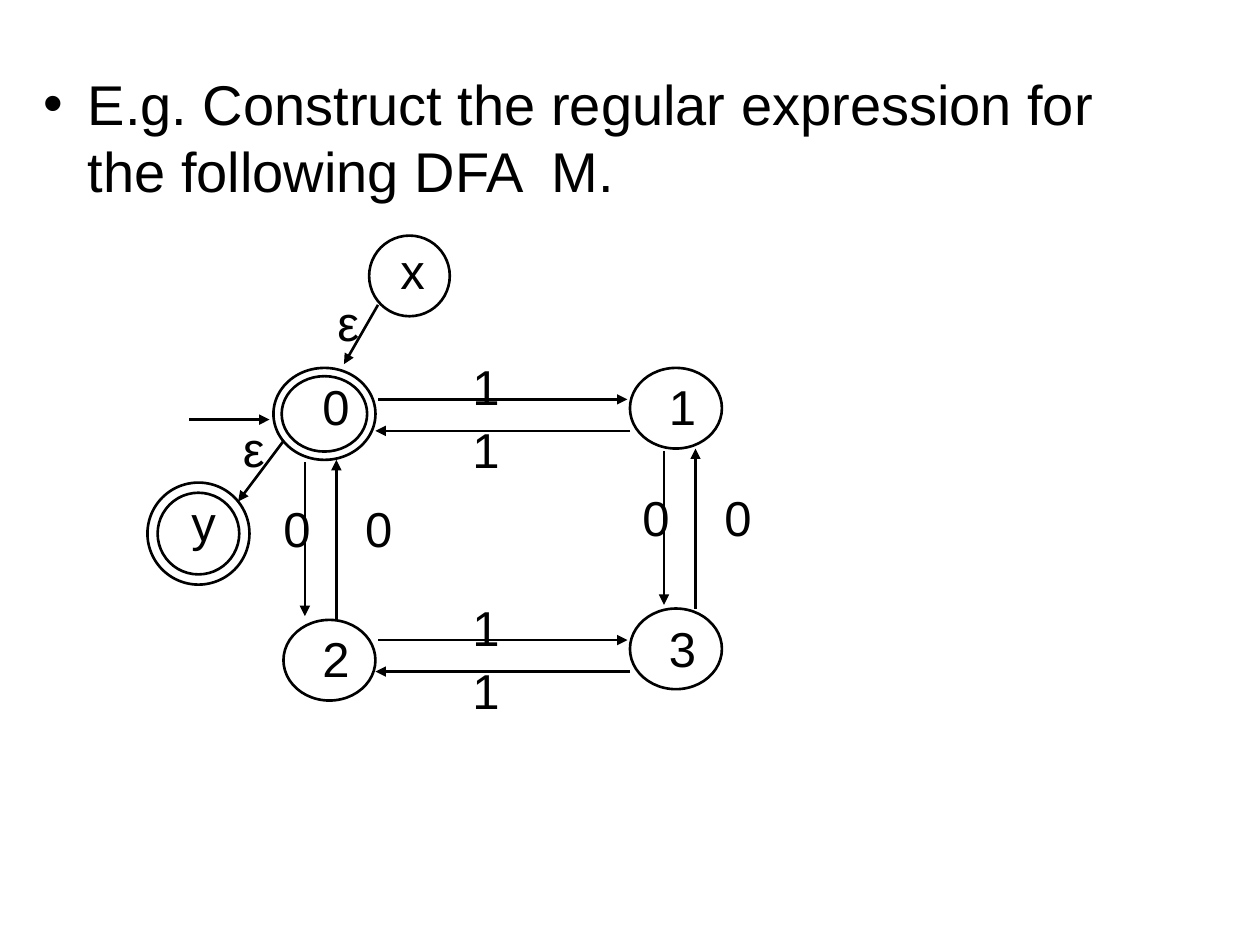
from lxml import etree
from pptx import Presentation
from pptx.dml.color import RGBColor
from pptx.enum.shapes import MSO_CONNECTOR, MSO_SHAPE
from pptx.enum.text import MSO_AUTO_SIZE
from pptx.oxml.ns import qn
from pptx.util import Inches, Pt

STRAIGHT = MSO_CONNECTOR.STRAIGHT
OVAL, DONUT = MSO_SHAPE.OVAL, MSO_SHAPE.DONUT
FIT_SHAPE, FIT_NONE = MSO_AUTO_SIZE.SHAPE_TO_FIT_TEXT, MSO_AUTO_SIZE.NONE

THEME = {"font": "Arial", "ink": RGBColor(0, 0, 0), "body": 32, "label": 28, "line": 1.5}
TASK = "E.g. Construct the regular expression for the following DFA  M."

# name, circle box, label position, ring thickness as a share of the height
STATES = [
    ("0", (2.17, 2.92, 0.81, 0.73), (2.46, 2.94), 0.09),
    ("1", (5, 2.92, 0.73, 0.64), (5.21, 2.94), None),
    ("2", (2.25, 4.92, 0.73, 0.64), (2.46, 4.94), None),
    ("3", (5, 4.83, 0.73, 0.64), (5.21, 4.86), None),
    ("x", (2.93, 1.87, 0.64, 0.64), (3.08, 1.86), None),
    ("y", (1.17, 3.83, 0.81, 0.81), (1.42, 3.86), 0.1),
]
START_ARROW = (1.5, 3.33, 2.14, 3.33)
EPSILON_MOVES = [
    ((3, 2.42, 2.73, 2.89), (2.58, 2.27)),
    ((2.25, 3.5, 1.89, 3.98), (1.83, 3.27)),
]
ROW_PAIRS = [3.17, 5.08]
COLUMN_PAIRS = [(2.42, 3.67), (5.27, 3.58)]
PAIR_GAP = 0.25


def add_text(slide, text, left, top, width=0.41, height=0.57, size=THEME["label"],
             wrap=False, bullet=False):
    box = slide.shapes.add_textbox(Inches(left), Inches(top), Inches(width), Inches(height))
    frame = box.text_frame
    frame.word_wrap = wrap
    frame.auto_size = FIT_NONE if wrap else FIT_SHAPE
    paragraph = frame.paragraphs[0]
    if bullet:
        properties = paragraph._p.get_or_add_pPr()
        properties.set("marL", str(Inches(0.35)))
        properties.set("indent", str(-Inches(0.35)))
        etree.SubElement(properties, qn("a:buFont")).set("typeface", THEME["font"])
        etree.SubElement(properties, qn("a:buChar")).set("char", "•")
    run = paragraph.add_run()
    run.text = text
    run.font.name = THEME["font"]
    run.font.size = Pt(size)
    run.font.color.rgb = THEME["ink"]


def style_line(line):
    line.color.rgb = THEME["ink"]
    line.width = Pt(THEME["line"])


def add_arrow(slide, *ends):
    connector = slide.shapes.add_connector(STRAIGHT, *map(Inches, ends))
    style_line(connector.line)
    etree.SubElement(connector.line._get_or_add_ln(), qn("a:tailEnd")).set("type", "triangle")
    etree.SubElement(connector._element.spPr, qn("a:effectLst"))


def add_state(slide, name, box, label, ring):
    shape = slide.shapes.add_shape(DONUT if ring else OVAL, *map(Inches, box))
    if ring:
        shape.adjustments[0] = ring
    shape.shadow.inherit = False
    shape.fill.background()
    style_line(shape.line)
    add_text(slide, name, *label)


def add_row_pair(slide, top):
    add_arrow(slide, 3, top, 4.98, top)
    add_arrow(slide, 5, top + PAIR_GAP, 2.98, top + PAIR_GAP)
    for offset in (-0.39, 0.11):
        add_text(slide, "1", 3.65, top + offset)


def add_column_pair(slide, left, top):
    add_arrow(slide, left, top, left, top + 1.22)
    add_arrow(slide, left + PAIR_GAP, top + 1.25, left + PAIR_GAP, top - 0.02)
    for offset in (-0.27, 0.38):
        add_text(slide, "0", left + offset, top + 0.24)


def main():
    """Build the slide showing the automaton and its added start and end states."""
    presentation = Presentation()
    presentation.slide_width, presentation.slide_height = Inches(10), Inches(7.5)
    slide = presentation.slides.add_slide(presentation.slide_layouts[6])
    add_text(slide, TASK, 0.25, 0.5, 9, 6.17, size=THEME["body"], wrap=True, bullet=True)
    for state in STATES:
        add_state(slide, *state)
    for top in ROW_PAIRS:
        add_row_pair(slide, top)
    for left, top in COLUMN_PAIRS:
        add_column_pair(slide, left, top)
    add_arrow(slide, *START_ARROW)
    for ends, label in EPSILON_MOVES:
        add_arrow(slide, *ends)
        add_text(slide, "ε", *label, width=0.37)
    presentation.save("out.pptx")


if __name__ == "__main__":
    main()
